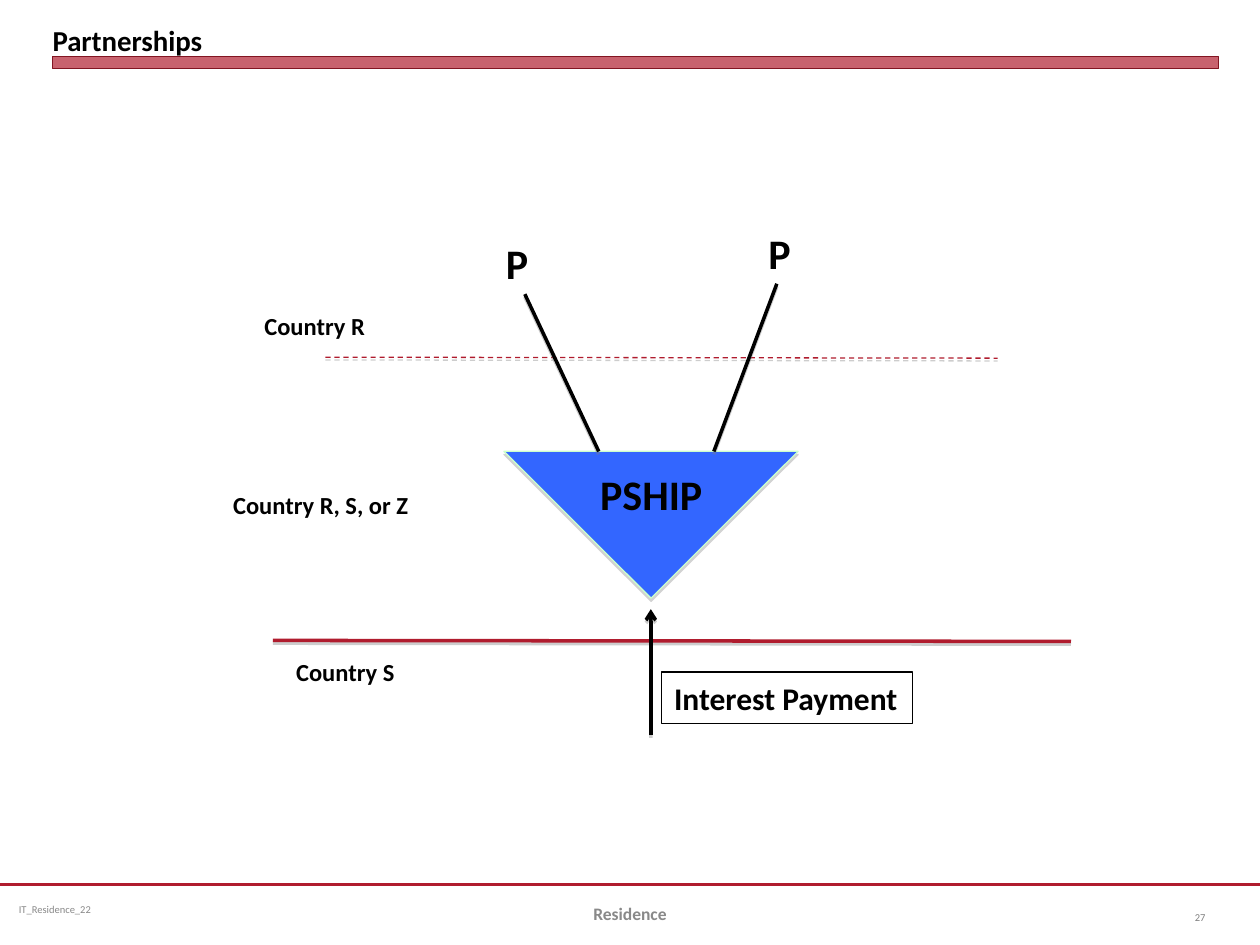
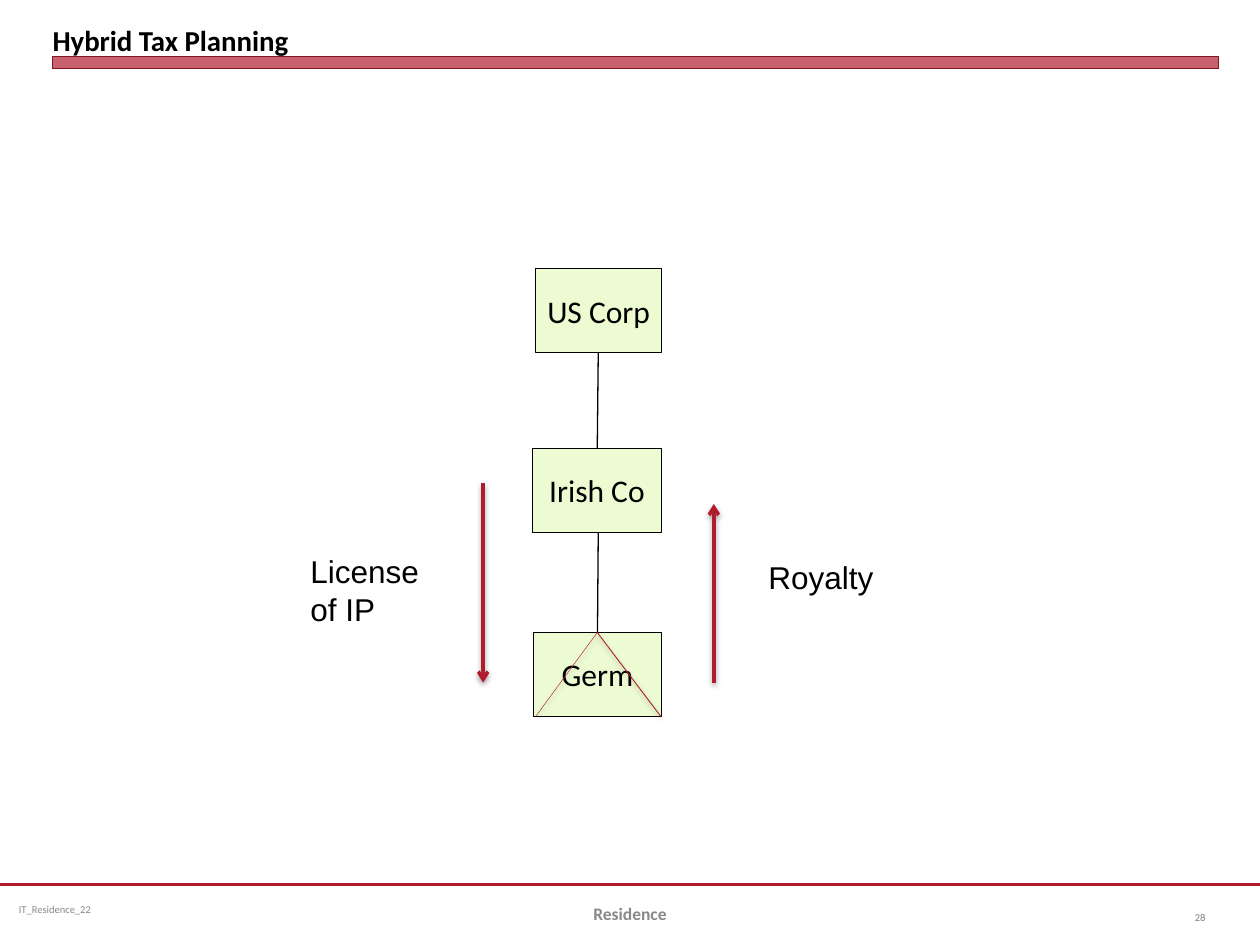
from pptx import Presentation
from pptx.dml.color import RGBColor
from pptx.enum.dml import MSO_LINE
from pptx.enum.shapes import MSO_CONNECTOR, MSO_SHAPE
from pptx.enum.text import MSO_ANCHOR, PP_ALIGN
from pptx.oxml import parse_xml
from pptx.oxml.ns import nsdecls, qn
from pptx.util import Cm, Pt
from lxml.etree import SubElement

RED = RGBColor(0xB0, 0x1C, 0x2E)
DARK_RED = RGBColor(0x82, 0x15, 0x22)
BLUE = RGBColor(0x33, 0x66, 0xFF)
MINT = RGBColor(0xCC, 0xFF, 0xCC)
PALE_GREEN = RGBColor(0xED, 0xFB, 0xD3)
BLACK = RGBColor(0, 0, 0)
FOOTER_GREY = RGBColor(0x89, 0x89, 0x89)
NUMBER_GREY = RGBColor(0x80, 0x80, 0x80)

# Shadows that fall straight down, lengths in EMU
SHADOW = ('<a:effectLst %s><a:outerShdw blurRad="{}" dist="{}" dir="5400000" rotWithShape="0">'
          '<a:srgbClr val="{}"><a:alpha val="{}"/></a:srgbClr></a:outerShdw></a:effectLst>'
          % nsdecls("a"))
NO_SHADOW = "<a:effectLst %s/>" % nsdecls("a")
TRIANGLE_SHADOW = SHADOW.format(0, 22860, "808080", 35000)
HARD_SHADOW = SHADOW.format(0, 20000, "808080", 38000)
SOFT_SHADOW = SHADOW.format(40000, 20000, "000000", 38000)


def write(shape, lines, size, bold=False, color=BLACK, font="Calibri", wrap=True,
          align=PP_ALIGN.LEFT, anchor=MSO_ANCHOR.TOP, insets=(0.25, 0.13)):
    frame = shape.text_frame
    frame.word_wrap = wrap
    frame.vertical_anchor = anchor
    frame.margin_left = frame.margin_right = Cm(insets[0])
    frame.margin_top = frame.margin_bottom = Cm(insets[1])
    for index, line in enumerate(lines):
        paragraph = frame.add_paragraph() if index else frame.paragraphs[0]
        paragraph.alignment = align
        run = paragraph.add_run()
        run.text = line
        run.font.name = font
        run.font.size = Pt(size)
        run.font.bold = bold
        run.font.color.rgb = color


def add_line(slide, start, end, color, width, shadow=NO_SHADOW, arrow=False, dash=False):
    line = slide.shapes.add_connector(
        MSO_CONNECTOR.STRAIGHT, *[Cm(value) for value in (*start, *end)])
    line.line.color.rgb = color
    line.line.width = Pt(width)
    if dash:
        line.line.dash_style = MSO_LINE.DASH
    properties = line._element.spPr
    if arrow:
        SubElement(properties.find(qn("a:ln")), qn("a:tailEnd"), type="arrow")
    properties.append(parse_xml(shadow))


presentation = Presentation()
presentation.slide_width = Cm(25.4)
presentation.slide_height = Cm(19.05)

# Shared frame: footer rule, title over its band, footer texts
slides = []
for number, title in ((27, "Partnerships"), (28, "Hybrid Tax Planning")):
    slide = presentation.slides.add_slide(presentation.slide_layouts[6])
    slides.append(slide)
    add_line(slide, (0, 17.83), (25.4, 17.83), RED, 1.25)

    band = slide.shapes.add_shape(MSO_SHAPE.RECTANGLE, Cm(1.06), Cm(1.14), Cm(23.5), Cm(0.25))
    band.shadow.inherit = False
    band.fill.solid()
    band.fill.fore_color.rgb = RED
    fill_color = band._element.spPr.find(qn("a:solidFill"))[0]
    SubElement(fill_color, qn("a:alpha"), val="69000")
    band.line.color.rgb = DARK_RED
    band.line.width = Pt(0)

    title_box = slide.shapes.add_textbox(Cm(1.06), Cm(0.13), Cm(23.5), Cm(1.02))
    write(title_box, [title], 16.5, bold=True, anchor=MSO_ANCHOR.BOTTOM, insets=(0, 0))
    file_box = slide.shapes.add_textbox(Cm(0.2), Cm(17.83), Cm(6.55), Cm(1.02))
    write(file_box, ["IT_Residence_22"], 6, color=FOOTER_GREY,
          anchor=MSO_ANCHOR.MIDDLE, insets=(0.18, 0.1))
    topic_box = slide.shapes.add_textbox(Cm(8.68), Cm(17.9), Cm(8.04), Cm(1.02))
    write(topic_box, ["Residence"], 10, bold=True, color=FOOTER_GREY,
          align=PP_ALIGN.CENTER, anchor=MSO_ANCHOR.MIDDLE)
    number_box = slide.shapes.add_textbox(Cm(23.28), Cm(17.99), Cm(1.27), Cm(1.02))
    write(number_box, [str(number)], 6, color=NUMBER_GREY,
          align=PP_ALIGN.RIGHT, anchor=MSO_ANCHOR.MIDDLE)

partnership_slide, hybrid_slide = slides

# Partnerships: inverted triangle for the partnership
triangle = partnership_slide.shapes.add_shape(
    MSO_SHAPE.ISOSCELES_TRIANGLE, Cm(10.16), Cm(9.1), Cm(5.93), Cm(2.96))
triangle.fill.solid()
triangle.fill.fore_color.rgb = BLUE
triangle.line.color.rgb = MINT
triangle.line.width = Pt(0.75)
triangle._element.spPr.find(qn("a:xfrm")).set("flipV", "1")
triangle._element.spPr.append(parse_xml(TRIANGLE_SHADOW))

# Partnerships: borders, payment arrow and partner lines
add_line(partnership_slide, (5.5, 12.91), (21.59, 12.93), RED, 2, HARD_SHADOW)
add_line(partnership_slide, (6.56, 7.2), (20.11, 7.22), RED, 0.75, HARD_SHADOW, dash=True)
add_line(partnership_slide, (13.12, 14.82), (13.12, 12.28), BLACK, 2, HARD_SHADOW, arrow=True)
add_line(partnership_slide, (12.07, 9.1), (10.58, 5.93), BLACK, 2, HARD_SHADOW)
add_line(partnership_slide, (14.39, 9.1), (15.66, 5.72), BLACK, 2, HARD_SHADOW)

# Partnerships: labels
for text, left, top in (("Country R", 5.08, 6.14), ("Country R, S, or Z", 4.45, 9.74),
                        ("Country S", 5.72, 13.12)):
    label = partnership_slide.shapes.add_textbox(Cm(left), Cm(top), Cm(4.66), Cm(0.86))
    write(label, [text], 14, bold=True)
for text, left, top, width in (("P", 9.95, 4.66, 0.97), ("P", 15.24, 4.45, 0.97),
                               ("PSHIP", 11.85, 9.31, 2.59)):
    label = partnership_slide.shapes.add_textbox(Cm(left), Cm(top), Cm(width), Cm(1.28))
    write(label, [text], 24, bold=True, wrap=False)

payment = partnership_slide.shapes.add_shape(
    MSO_SHAPE.RECTANGLE, Cm(13.34), Cm(13.55), Cm(5.05), Cm(1.03))
payment.shadow.inherit = False
payment.fill.background()
payment.line.color.rgb = BLACK
payment.line.width = Pt(0.75)
write(payment, ["Interest Payment"], 18, bold=True, wrap=False)

# Hybrid: ownership lines, then the companies over them
add_line(hybrid_slide, (12.06, 7.11), (12.04, 9.04), BLACK, 0.75)
add_line(hybrid_slide, (12.06, 10.73), (12.04, 13.34), BLACK, 0.75)
for name, left, top, width in (("US Corp", 10.8, 5.42, 2.54), ("Irish Co", 10.74, 9.04, 2.59),
                               ("Germ", 10.76, 12.75, 2.57)):
    company = hybrid_slide.shapes.add_shape(
        MSO_SHAPE.FLOWCHART_PROCESS, Cm(left), Cm(top), Cm(width), Cm(1.69))
    company.shadow.inherit = False
    company.fill.solid()
    company.fill.fore_color.rgb = PALE_GREEN
    company.line.color.rgb = BLACK
    company.line.width = Pt(0.75)
    write(company, [name], 18, wrap=False, align=PP_ALIGN.CENTER, anchor=MSO_ANCHOR.MIDDLE)

# Hybrid: triangle sides inside the lowest box, then licence and royalty arrows
add_line(hybrid_slide, (12.04, 12.75), (10.8, 14.44), RED, 0.25, SOFT_SHADOW)
add_line(hybrid_slide, (12.04, 12.75), (13.32, 14.44), RED, 0.5, SOFT_SHADOW)
add_line(hybrid_slide, (9.74, 9.74), (9.74, 13.76), RED, 2, SOFT_SHADOW, arrow=True)
add_line(hybrid_slide, (14.39, 13.76), (14.39, 10.16), RED, 2, SOFT_SHADOW, arrow=True)

# Hybrid: flow labels
for lines, left, top, width, height in ((["License", "of IP"], 6.01, 11, 2.73, 1.79),
                                        (["Royalty"], 15.24, 11.11, 2.64, 1.03)):
    label = hybrid_slide.shapes.add_textbox(Cm(left), Cm(top), Cm(width), Cm(height))
    write(label, lines, 18, font="Arial", wrap=False)

presentation.save("out.pptx")
